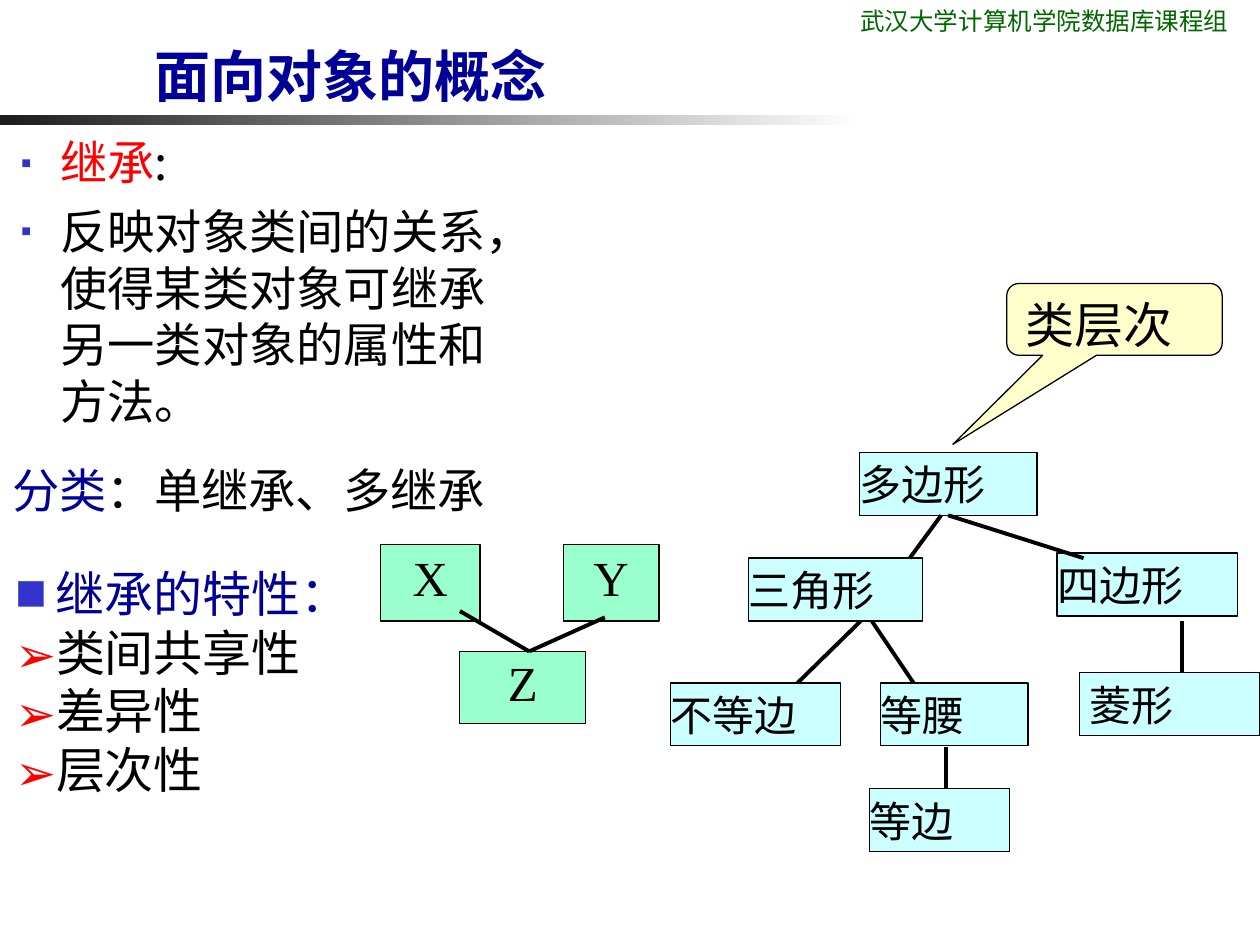
import pptx
import pptx.util
import pptx.dml.color
import pptx.enum.text
import pptx.enum.shapes
import pptx.oxml.ns
import lxml.etree

RGB = pptx.dml.color.RGBColor
KIND = pptx.enum.shapes.MSO_SHAPE
ANCHOR = pptx.enum.text.MSO_ANCHOR
ALIGN = pptx.enum.text.PP_ALIGN

BLACK = RGB(0x00, 0x00, 0x00)
WHITE = RGB(0xFF, 0xFF, 0xFF)
DARK = RGB(0x1C, 0x1C, 0x1C)
GREEN = RGB(0x00, 0x66, 0x00)
NAVY = RGB(0x00, 0x00, 0x99)
BLUE = RGB(0x33, 0x33, 0xCC)
RED = RGB(0xFF, 0x00, 0x00)
MINT = RGB(0x99, 0xFF, 0xCC)
CYAN = RGB(0xCC, 0xFF, 0xFF)
CREAM = RGB(0xFF, 0xFF, 0xCC)
SANS = "Noto Sans CJK SC"
SERIF = "Times New Roman"

COLS, ROWS = 100, 75
UNIT = pptx.util.Inches(0.1)


def grid(*nums):
    return [round(n * UNIT) for n in nums]


def within(box, part):
    return box[0] + part[0], box[1] + part[1], part[2], part[3]


def child(node, tag, **attrs):
    return lxml.etree.SubElement(node, pptx.oxml.ns.qn(tag), attrs)


def frame(shape, inset=(1, 0.5), anchor=ANCHOR.TOP, wrap=True):
    text = shape.text_frame
    text.word_wrap = wrap
    text.vertical_anchor = anchor
    text.margin_left, text.margin_top = grid(*inset)
    text.margin_right, text.margin_bottom = grid(*inset)
    return text


def write(para, runs, size, font=SANS, bold=False):
    for words, color in runs:
        run = para.add_run()
        run.text = words
        run.font.size = pptx.util.Pt(size)
        run.font.name = font
        run.font.bold = bold
        run.font.color.rgb = color
        east = SANS if font in (SERIF, "Arial Narrow") else font
        child(run.font._element, "a:ea", typeface=east)


def bullet(para, mark, color, indent, share):
    props = para._p.get_or_add_pPr()
    depth = grid(indent)[0]
    props.set("marL", str(depth))
    props.set("indent", str(-depth))
    child(child(props, "a:buClr"), "a:srgbClr", val=str(color))
    child(props, "a:buSzPct", val=str(share * 1000))
    child(props, "a:buFont", typeface=SANS)
    child(props, "a:buChar", char=mark)


def label(slide, box, runs, size, font=SANS, bold=False, anchor=ANCHOR.TOP):
    shape = slide.shapes.add_textbox(*grid(*box))
    para = frame(shape, anchor=anchor).paragraphs[0]
    write(para, runs, size, font, bold)
    return para


def block(slide, box, fill, kind=KIND.RECTANGLE):
    shape = slide.shapes.add_shape(kind, *grid(*box))
    shape.shadow.inherit = False
    shape.fill.solid()
    shape.fill.fore_color.rgb = fill
    shape.line.color.rgb = BLACK
    shape.line.width = pptx.util.Pt(0.75)
    return shape


def link(slide, box, ends):
    left, top = box[:2]
    x1, y1, x2, y2 = ends
    line = slide.shapes.add_connector(
        pptx.enum.shapes.MSO_CONNECTOR.STRAIGHT,
        *grid(left + x1, top + y1, left + x2, top + y2))
    line.line.color.rgb = BLACK
    line.line.width = pptx.util.Pt(2.25)
    child(line._element.spPr, "a:effectLst")
    return line


def header(slide, box):
    bar = slide.shapes.add_shape(
        KIND.RECTANGLE, *grid(*within(box, (0, 9.1, 68.3, 0.8))))
    bar.shadow.inherit = False
    bar.line.fill.background()
    bar.fill.gradient()
    bar.fill.gradient_angle = 0
    for stop, color in zip(bar.fill.gradient_stops, (DARK, WHITE)):
        stop.color.rgb = color
    label(slide, within(box, (67.3, 0, 32.7, 3.4)),
          [("武汉大学计算机学院数据库课程组", GREEN)], 14, "Lato")
    label(slide, within(box, (11.3, 1.6, 45.8, 7.5)),
          [("面向对象的概念", NAVY)], 32, bold=True, anchor=ANCHOR.BOTTOM)


def body(slide, box):
    text = frame(slide.shapes.add_textbox(*grid(*box)))
    lines = [
        [("继承", RED), (":", BLACK)],
        [("反映对象类间的关系，使得某类对象可继承另一类对象的属性和方法。", BLACK)],
    ]
    for i, runs in enumerate(lines):
        para = text.add_paragraph() if i else text.paragraphs[0]
        bullet(para, "▪", BLUE, 3.8, 60)
        if i:
            para.space_before = pptx.util.Pt(6.8)
        write(para, runs, 27)


def sorts(slide, box):
    para = label(slide, box, [("分类", NAVY), ("：单继承、多继承", BLACK)], 27)
    para.line_spacing = 0.9


def merge(slide, box):
    parts = [("X", (0, 0, 7.9, 6.1)), ("Y", (14.5, 0, 7.6, 6.1)),
             ("Z", (6.3, 8.5, 10, 5.7))]
    for name, part in parts:
        shape = block(slide, within(box, part), MINT)
        para = frame(shape, anchor=ANCHOR.MIDDLE).paragraphs[0]
        para.alignment = ALIGN.CENTER
        para.line_spacing = 0.8
        write(para, [(name, BLACK)], 28, SERIF)
    for start in ((6.3, 5.3), (17.8, 5.8)):
        link(slide, box, (*start, 11.8, 8.5))


def tree(slide, box):
    nodes = [("多边形", 15, 0, 14.1), ("三角形", 6.2, 8.4, 13.8),
             ("不等边", 0, 18.3, 13.5), ("等腰", 16.7, 18.3, 11.7),
             ("等边", 15.8, 26.7, 11.1), ("四边形", 30.7, 8, 14.3),
             ("菱形", 32.5, 17.5, 14.3)]
    shapes = {}
    for name, left, top, width in nodes:
        shape = block(slide, within(box, (left, top, width, 5)), CYAN)
        text = frame(shape, (0, 0), ANCHOR.MIDDLE, False)
        if name == "菱形":
            text.margin_left = grid(0.75)[0]
        para = text.paragraphs[0]
        para.alignment = ALIGN.LEFT
        write(para, [(name, BLACK)], 24)
        shapes[name] = shape
    wide = link(slide, box, (21.9, 5, 32.8, 8.4))
    wide.begin_connect(shapes["多边形"], 2)
    for ends in ((21.5, 5, 19, 8.4), (15.1, 13.4, 10.1, 18.3),
                 (16, 13.4, 19.3, 18.3), (40.6, 13.4, 40.6, 17.5),
                 (21.9, 23.4, 21.9, 26.7)):
        link(slide, box, ends)


def callout(slide, box):
    shape = block(slide, box, CREAM, KIND.ROUNDED_RECTANGULAR_CALLOUT)
    for i, value in enumerate((-0.75, 1.74, 0.17)):
        shape.adjustments[i] = value
    para = frame(shape, (1.2, 0.6)).paragraphs[0]
    para.alignment = ALIGN.LEFT
    write(para, [("类层次", BLACK)], 28, "Arial Narrow")


def traits(slide, box):
    text = frame(slide.shapes.add_textbox(*grid(*box)), (1.2, 0.6))
    lines = [("继承的特性：", NAVY), ("类间共享性", BLACK),
             ("差异性", BLACK), ("层次性", BLACK)]
    for i, line in enumerate(lines):
        para = text.add_paragraph() if i else text.paragraphs[0]
        mark = ("➢", RED, 3.2, 100) if i else ("■", BLUE, 3.2, 65)
        bullet(para, *mark)
        write(para, [line], 28)


def main():
    deck = pptx.Presentation()
    deck.slide_width, deck.slide_height = grid(COLS, ROWS)
    slide = deck.slides.add_slide(deck.slide_layouts[6])
    header(slide, (0, 0, COLS, 10))
    body(slide, (0, 10.1, 42.8, 25.5))
    merge(slide, (30.2, 43.2, 22.1, 14.2))
    sorts(slide, (0, 36.6, 42.1, 5.7))
    tree(slide, (53.2, 35.9, 46.8, 31.7))
    callout(slide, (79.9, 22.5, 17.1, 5.7))
    traits(slide, (0, 44.1, 36, 19.8))
    deck.save("out.pptx")


if __name__ == "__main__":
    main()
